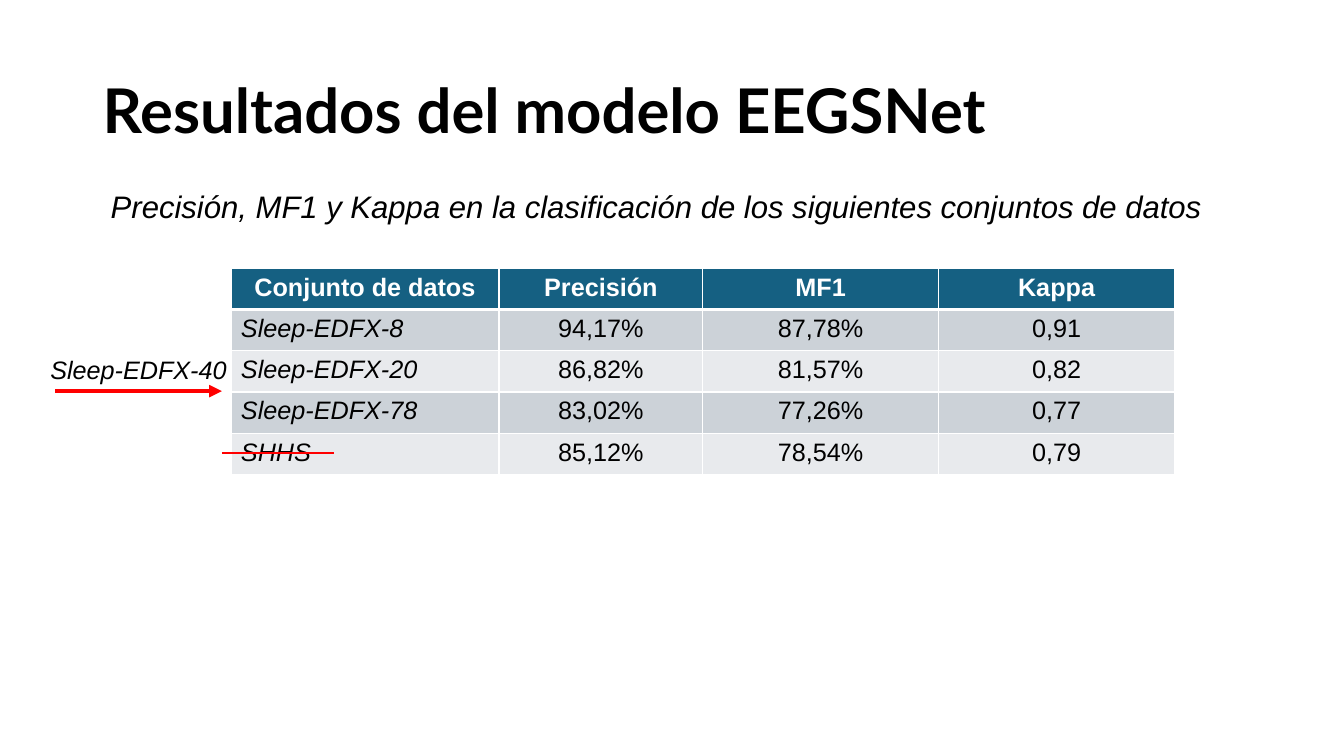
from dataclasses import dataclass

from lxml import etree
from pptx import Presentation
from pptx.dml.color import RGBColor
from pptx.enum import shapes, text
from pptx.oxml import ns
from pptx.util import Inches, Pt


@dataclass(frozen=True)
class Theme:
    font: str = "Arial"
    title_font: str = "Lato"
    title_size: float = 44
    subtitle_size: float = 22.2
    body_size: float = 18
    ink: str = "000000"
    white: str = "FFFFFF"
    header: str = "156082"
    bands: tuple = ("CCD2D8", "E8EAED")
    mark: str = "FF0000"


THEME = Theme()
RESULTS = [
    ("Conjunto de datos", "Precisión", "MF1", "Kappa"),
    ("Sleep-EDFX-8", "94,17%", "87,78%", "0,91"),
    ("Sleep-EDFX-20", "86,82%", "81,57%", "0,82"),
    ("Sleep-EDFX-78", "83,02%", "77,26%", "0,77"),
    ("SHHS", "85,12%", "78,54%", "0,79"),
]
COLUMN_WIDTHS = (2.66, 2.02, 2.34, 2.34)
ROW_HEIGHT = 0.41


def write(tf, words, size, color=THEME.ink, align=text.PP_ALIGN.LEFT, spacing=1.0, **font):
    p = tf.paragraphs[0]
    p.alignment = align
    p.line_spacing = spacing
    r = p.add_run()
    r.text = words
    for name, value in {"name": THEME.font, "size": Pt(size), **font}.items():
        setattr(r.font, name, value)
    r.font.color.rgb = RGBColor.from_string(color)


def add_text(s, box, words, size, anchor=text.MSO_ANCHOR.TOP, **fmt):
    tf = s.shapes.add_textbox(*map(Inches, box)).text_frame
    tf.word_wrap = True
    tf.vertical_anchor = anchor
    write(tf, words, size, **fmt)


def add_line(s, start, end, width, arrow=False):
    sp = s.shapes.add_connector(shapes.MSO_CONNECTOR.STRAIGHT, *map(Inches, start + end))
    sp.line.width = Pt(width)
    sp.line.color.rgb = RGBColor.from_string(THEME.mark)
    if arrow:
        etree.SubElement(sp.line._get_or_add_ln(), ns.qn("a:tailEnd"), type="triangle")
    etree.SubElement(sp._element.spPr, ns.qn("a:effectLst"))


def set_borders(cell, widths):
    tc_pr = cell._tc.get_or_add_tcPr()
    for side, width in widths.items():
        ln = etree.SubElement(tc_pr, ns.qn(f"a:ln{side}"), w=str(Pt(width)))
        fill = etree.SubElement(ln, ns.qn("a:solidFill"))
        etree.SubElement(fill, ns.qn("a:srgbClr"), val=THEME.white)


def format_cell(cell, words, row, col):
    header = row == 0
    set_borders(cell, {"L": 1, "R": 1, "T": 3 if row == 1 else 1, "B": 3 if header else 1})
    cell.fill.solid()
    fill = THEME.header if header else THEME.bands[(row - 1) % 2]
    cell.fill.fore_color.rgb = RGBColor.from_string(fill)
    label = col == 0 and not header
    write(
        cell.text_frame, words, THEME.body_size,
        color=THEME.white if header else THEME.ink,
        align=text.PP_ALIGN.LEFT if label else text.PP_ALIGN.CENTER,
        bold=header, italic=label,
    )


def add_results(s, left, top):
    size = (sum(COLUMN_WIDTHS), ROW_HEIGHT * len(RESULTS))
    table = s.shapes.add_table(
        len(RESULTS), len(COLUMN_WIDTHS), *map(Inches, (left, top) + size)
    ).table
    for column, width in zip(table.columns, COLUMN_WIDTHS):
        column.width = Inches(width)
    for row, values in enumerate(RESULTS):
        table.rows[row].height = Inches(ROW_HEIGHT)
        for col, words in enumerate(values):
            format_cell(table.cell(row, col), words, row, col)


def main():
    prs = Presentation()
    prs.slide_width, prs.slide_height = Inches(13.33), Inches(7.5)
    s = prs.slides.add_slide(prs.slide_layouts[6])
    add_text(
        s, (0.92, 0.4, 11.5, 1.45), "Resultados del modelo EEGSNet", THEME.title_size,
        anchor=text.MSO_ANCHOR.MIDDLE, spacing=0.9, name=THEME.title_font, bold=True,
    )
    add_text(
        s, (1, 1.85, 11.5, 0.53),
        "Precisión, MF1 y Kappa en la clasificación de los siguientes conjuntos de datos",
        THEME.subtitle_size, spacing=0.9, italic=True,
    )
    add_results(s, 2.29, 2.66)
    add_line(s, (0.55, 3.88), (2.2, 3.88), 3, arrow=True)
    add_text(s, (0.4, 3.47, 1.98, 0.4), "Sleep-EDFX-40", THEME.body_size, italic=True)
    add_line(s, (2.2, 4.49), (3.31, 4.49), 1.5)
    prs.save("out.pptx")


if __name__ == "__main__":
    main()
